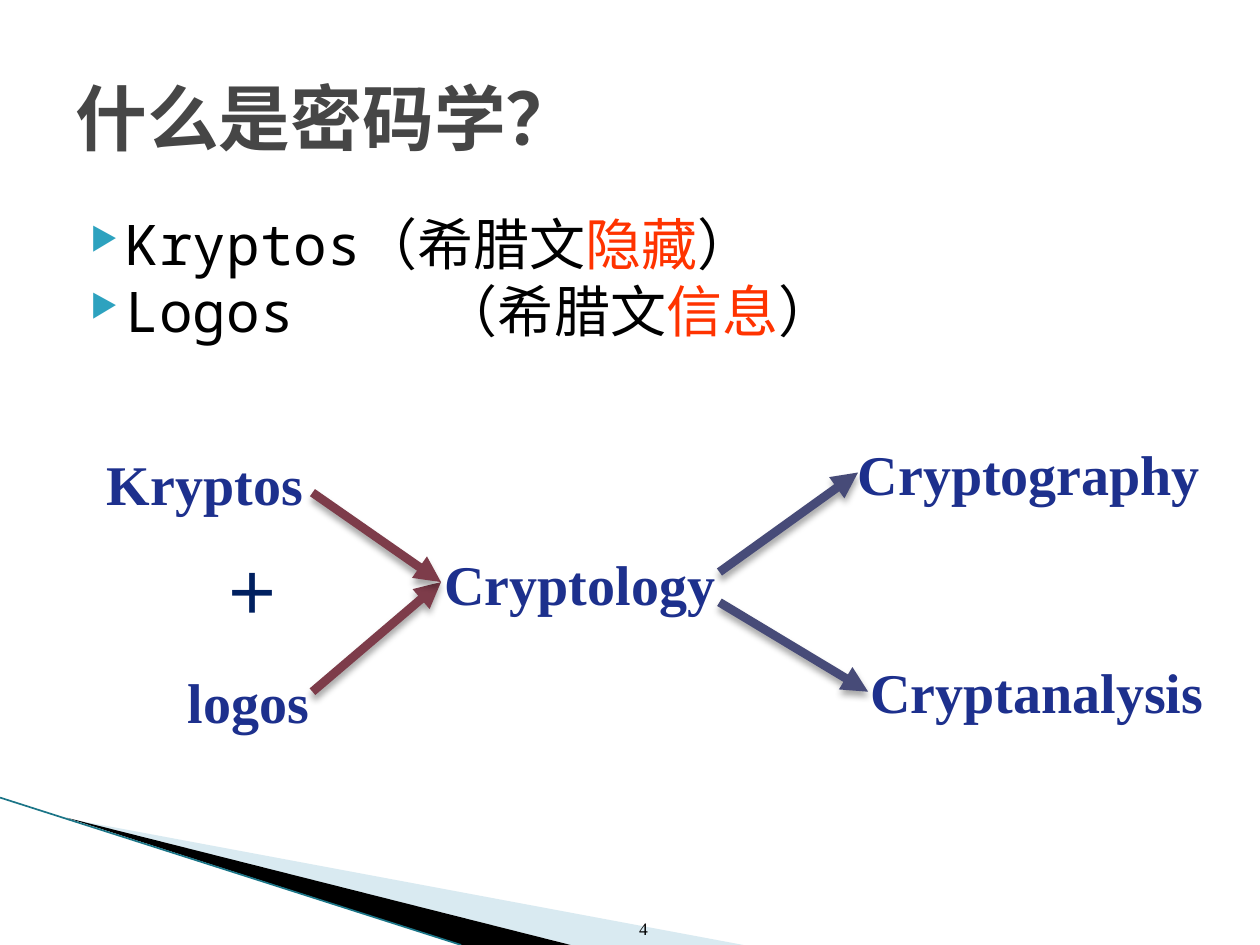
from dataclasses import dataclass

import pptx
import pptx.dml.color
import pptx.enum.shapes
import pptx.enum.text
import pptx.oxml
import pptx.oxml.ns
import pptx.util
from pptx.util import Inches

ALIGN = pptx.enum.text.PP_ALIGN
ANCHOR = pptx.enum.text.MSO_ANCHOR
NS = pptx.oxml.ns.nsdecls("a")


@dataclass(frozen=True)
class Theme:
    sans: str = "Noto Sans Mono"
    serif: str = "Times New Roman"
    title_size: int = 41
    body_size: int = 32
    number_size: int = 10
    title: str = "464646"
    text: str = "000000"
    accent: str = "FF3300"
    bullet: str = "2DA2BF"
    term: str = "1D308D"
    plus: str = "002060"
    merge: str = "7D3C4A"
    split: str = "474B78"
    pale: str = "A0CBDC"
    edge: str = "1B7587"


@dataclass(frozen=True)
class Term:
    text: str
    left: float
    top: float
    width: float
    color: str


@dataclass(frozen=True)
class Arrow:
    start: tuple[float, float]
    end: tuple[float, float]
    color: str


THEME = Theme()

BULLETS = [("Kryptos（希腊文", "隐藏", "）"), ("Logos\t（希腊文", "信息", "）")]

TERMS = [
    Term("Kryptos", 0.75, 3.52, 1.76, THEME.term),
    Term("logos", 1.39, 5.25, 1.2, THEME.term),
    Term("Cryptology", 3.43, 4.31, 2.36, THEME.term),
    Term("＋", 1.68, 4.38, 0.65, THEME.plus),
    Term("Cryptography", 6.71, 3.44, 2.93, THEME.term),
    Term("Cryptanalysis", 6.81, 5.17, 2.9, THEME.term),
]

ARROWS = [
    Arrow((2.48, 5.49), (3.5, 4.62), THEME.merge),
    Arrow((2.48, 3.91), (3.5, 4.62), THEME.merge),
    Arrow((5.71, 4.54), (6.81, 3.75), THEME.split),
    Arrow((5.71, 4.78), (6.89, 5.49), THEME.split),
]


def rgb(color: str):
    return pptx.dml.color.RGBColor.from_string(color)


def add_xml(parent, xml: str):
    """Append an element such as <a:tag .../> to parent."""
    tag, rest = xml.split(" ", 1)
    parent.append(pptx.oxml.parse_xml(f"{tag} {NS} {rest}"))


def add_box(s, left, top, width, height, anchor=ANCHOR.TOP, wrap=True):
    tf = s.shapes.add_textbox(Inches(left), Inches(top), Inches(width), Inches(height)).text_frame
    tf.word_wrap = wrap
    tf.vertical_anchor = anchor
    return tf


def add_run(p, text: str, font: str, size: int, color: str, bold: bool = False):
    r = p.add_run()
    r.text = text
    r.font.size = pptx.util.Pt(size)
    r.font.bold = bold
    r.font.color.rgb = rgb(color)
    r.font.name = font
    add_xml(r.font._element, f'<a:ea typeface="{THEME.sans}"/>')


def add_wedge(s, points: list[tuple[float, float]], color: str, alpha: int = 100):
    corners = [(Inches(x), Inches(y)) for x, y in points]
    builder = s.shapes.build_freeform(*corners[0])
    builder.add_line_segments(corners[1:], close=True)
    sp = builder.convert_to_shape()
    sp.shadow.inherit = False
    sp.fill.solid()
    sp.fill.fore_color.rgb = rgb(color)
    sp.line.fill.background()
    if alpha < 100:
        clr = sp._element.spPr.find(".//" + pptx.oxml.ns.qn("a:srgbClr"))
        add_xml(clr, f'<a:alpha val="{alpha * 1000}"/>')


def add_line(s, start, end, color: str, width: float):
    ends = [Inches(v) for v in (*start, *end)]
    line = s.shapes.add_connector(pptx.enum.shapes.MSO_CONNECTOR.STRAIGHT, *ends)
    line.line.color.rgb = rgb(color)
    line.line.width = pptx.util.Pt(width)
    return line


def add_arrow(s, arrow: Arrow):
    line = add_line(s, arrow.start, arrow.end, arrow.color, 5)
    add_xml(line.line._get_or_add_ln(), '<a:tailEnd type="triangle"/>')
    add_xml(
        line._element.spPr,
        '<a:effectLst ><a:outerShdw blurRad="50800" dist="38100" dir="5400000" rotWithShape="0">'
        '<a:srgbClr val="000000"><a:alpha val="35000"/></a:srgbClr></a:outerShdw></a:effectLst>',
    )


def add_bullet(p, parts: tuple[str, str, str]):
    pPr = p._p.get_or_add_pPr()
    pPr.set("marL", str(Inches(0.4)))
    pPr.set("indent", str(Inches(-0.28)))
    p.line_spacing = pptx.util.Pt(38)
    add_xml(pPr, f'<a:buClr ><a:srgbClr val="{THEME.bullet}"/></a:buClr>')
    add_xml(pPr, '<a:buSzPct val="56000"/>')
    add_xml(pPr, '<a:buChar char="▶"/>')
    add_xml(pPr, f'<a:tabLst ><a:tab pos="{Inches(2.91)}" algn="l"/></a:tabLst>')
    for text, color in zip(parts, (THEME.text, THEME.accent, THEME.text)):
        add_run(p, text, THEME.sans, THEME.body_size, color)


def main():
    prs = pptx.Presentation()
    prs.slide_width, prs.slide_height = Inches(10), Inches(7.5)
    s = prs.slides.add_slide(prs.slide_layouts[6])

    # Corner decoration
    add_wedge(s, [(0.55, 6.5), (5.9, 7.5), (4.53, 7.5)], THEME.pale, 40)
    add_wedge(s, [(0.53, 6.49), (4.53, 7.5), (3.66, 7.5)], THEME.text)
    edge = add_line(s, (0, 6.33), (3.66, 7.5), THEME.edge, 0.95)
    add_xml(edge._element.spPr, "<a:effectLst />")

    # Bullets, title and slide number
    tf = add_box(s, 0.5, 1.62, 9, 4.95)
    for i, parts in enumerate(BULLETS):
        add_bullet(tf.add_paragraph() if i else tf.paragraphs[0], parts)

    p = add_box(s, 0.5, 0.3, 9, 1.25, ANCHOR.MIDDLE).paragraphs[0]
    add_run(p, "什么是密码学？", THEME.sans, THEME.title_size, THEME.title, bold=True)

    p = add_box(s, 4.68, 7.01, 0.56, 0.49, ANCHOR.BOTTOM).paragraphs[0]
    p.alignment = ALIGN.RIGHT
    add_run(p, "4", THEME.serif, THEME.number_size, THEME.text)

    # Word diagram
    for term in TERMS:
        tf = add_box(s, term.left, term.top, term.width, 0.63, wrap=False)
        tf.auto_size = pptx.enum.text.MSO_AUTO_SIZE.SHAPE_TO_FIT_TEXT
        add_run(tf.paragraphs[0], term.text, THEME.serif, THEME.body_size, term.color, bold=True)
    for arrow in ARROWS:
        add_arrow(s, arrow)

    prs.save("out.pptx")


if __name__ == "__main__":
    main()
